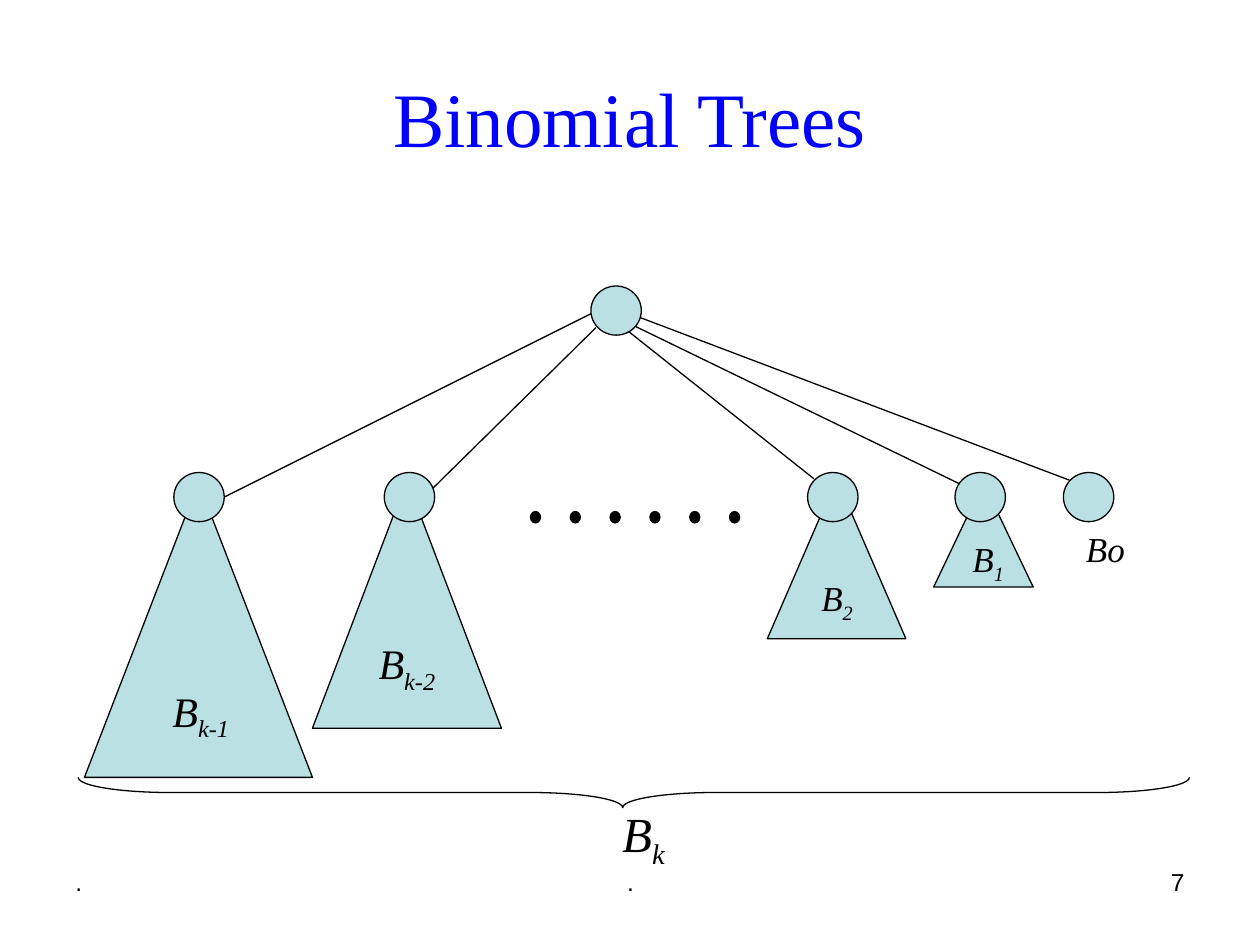
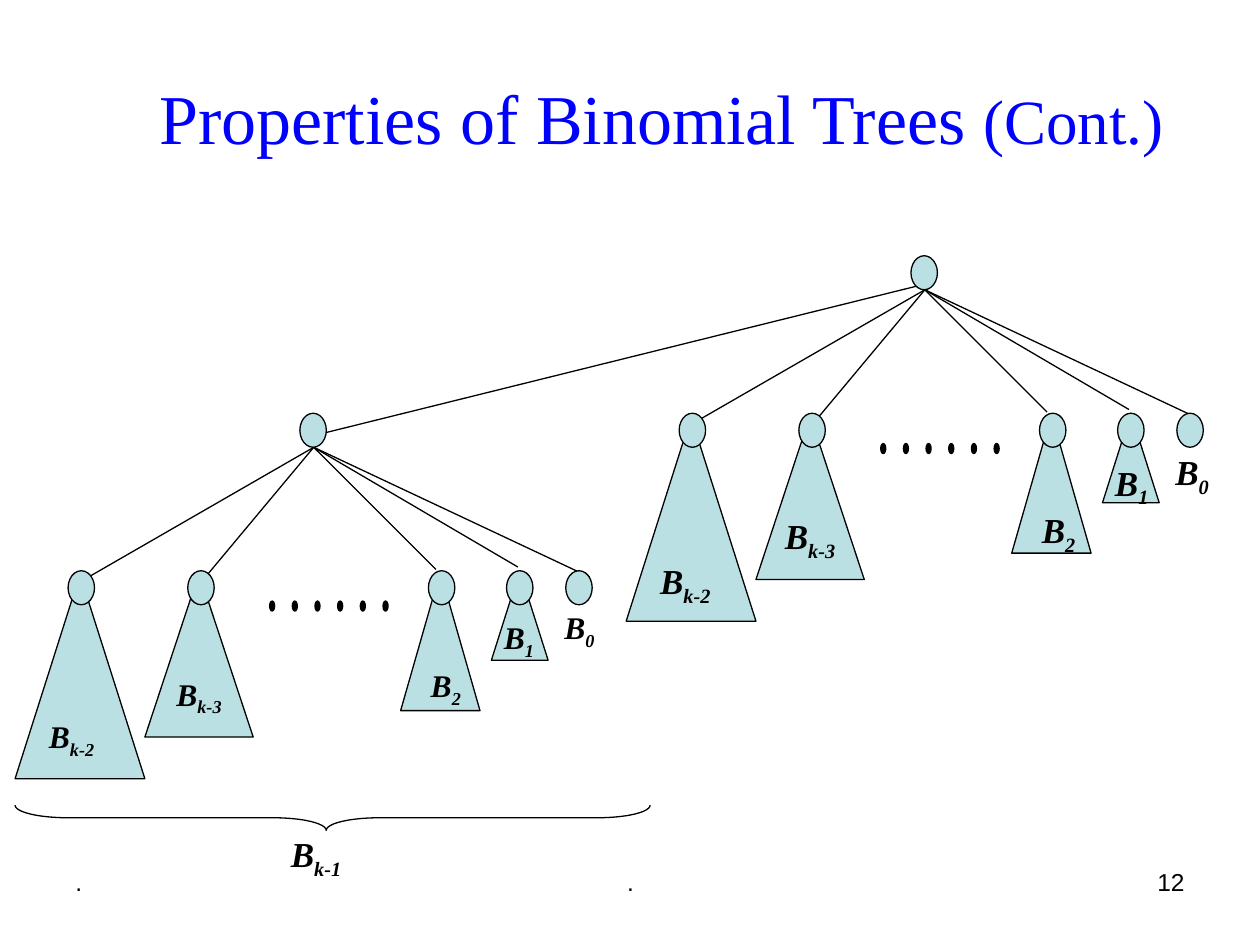
from dataclasses import dataclass

from lxml.etree import SubElement
from pptx import Presentation
from pptx.dml.color import RGBColor
from pptx.enum.shapes import MSO_CONNECTOR, MSO_SHAPE
from pptx.enum.text import MSO_ANCHOR, PP_ALIGN
from pptx.oxml.ns import qn
from pptx.util import Inches, Pt


@dataclass(frozen=True)
class Theme:
    title_color: RGBColor = RGBColor(0x00, 0x00, 0xFF)
    ink: RGBColor = RGBColor(0x00, 0x00, 0x00)
    tree_fill: RGBColor = RGBColor(0xBB, 0xE0, 0xE3)
    serif: str = "Times New Roman"
    sans: str = "Arial"
    footer_size: int = 14
    line_width: float = 0.75


@dataclass(frozen=True)
class Subtree:
    label: tuple         # letter and subscript
    node_left: float
    triangle: tuple      # left, top, width, height; None for a single node
    label_at: tuple      # None puts the label inside the triangle
    edge: tuple          # start at the root, end at the node


@dataclass(frozen=True)
class Tree:
    root: tuple
    node_size: tuple
    node_top: float
    subtrees: list
    dots: tuple          # left of the first, left of the last, top
    dot_size: tuple


THEME = Theme()
DOT_COUNT = 6

# Content: lengths in inches
FULL_TREE = Tree(
    root=(4.69, 2.27), node_size=(0.4, 0.39), node_top=3.75,
    subtrees=[
        Subtree(("B", "k-1"), 1.38, (0.67, 3.83, 1.81, 2.34), (1.27, 5.39),
                ((4.69, 2.49), (1.77, 3.95))),
        Subtree(("B", "k-2"), 3.05, (2.48, 3.81, 1.5, 1.97), None,
                ((4.73, 2.6), (3.4, 3.91))),
        Subtree(("B", "2"), 6.41, (6.09, 3.8, 1.1, 1.27), (6.42, 4.53),
                ((4.95, 2.6), (6.46, 3.8))),
        Subtree(("B", "1"), 7.58, (7.41, 3.83, 0.79, 0.83), (7.62, 4.22),
                ((5, 2.57), (7.76, 3.91))),
        Subtree(("Bo", ""), 8.44, None, (8.52, 4.14),
                ((5, 2.49), (8.67, 3.88))),
    ],
    dots=(4.21, 5.79, 4.06), dot_size=(0.08, 0.09))

ROOT_FOOT = (2.49, 3.55)
HALF_TREE = Tree(
    root=(2.38, 3.28), node_size=(0.21, 0.27), node_top=4.53,
    subtrees=[
        Subtree(("B", "k-2"), 0.54, (0.12, 4.56, 1.03, 1.62), (0.29, 5.64),
                (ROOT_FOOT, (0.72, 4.57))),
        Subtree(("B", "k-3"), 1.49, (1.15, 4.55, 0.86, 1.3), None,
                (ROOT_FOOT, (1.63, 4.58))),
        Subtree(("B", "2"), 3.4, (3.18, 4.54, 0.63, 1.1), (3.32, 5.24),
                (ROOT_FOOT, (3.46, 4.52))),
        Subtree(("B", "1"), 4.02, (3.9, 4.53, 0.45, 0.71), (3.9, 4.86),
                (ROOT_FOOT, (4.11, 4.5))),
        Subtree(("B", "0"), 4.49, None, (4.38, 4.78),
                (ROOT_FOOT, (4.68, 4.58))),
    ],
    dots=(2.14, 3.04, 4.77), dot_size=(0.04, 0.08))

SLIDES = [
    {
        "title": [("Binomial Trees", 44)], "title_width": 9, "number": "7",
        # tree, shift right and down, label sizes, bold
        "trees": [(FULL_TREE, (0, 0), (24, 24, 20, 20, 20), False)],
        "links": [],
        # left, top, width, height, curve reach, point position
        "brace": (0.62, 6.17, 8.82, 0.24, 0.73, 0.49),
        "brace_label": (("B", "k"), (4.84, 6.33), 28, False),
    },
    {
        "title": [("Properties of Binomial Trees ", 40), ("(Cont.)", 36)],
        "title_width": 9.5, "number": "12",
        "trees": [(HALF_TREE, (0, 0), (18,) * 5, True),
                  (HALF_TREE, (4.85, -1.25), (20,) * 5, True)],
        "links": [((2.56, 3.44), (7.36, 2.25))],
        "brace": (0.12, 6.39, 5.04, 0.2, 0.42, 0.49),
        "brace_label": (("B", "k-1"), (2.21, 6.56), 20, True),
    },
]


def inches(*lengths):
    return [Inches(length) for length in lengths]


def moved(point, shift):
    return point[0] + shift[0], point[1] + shift[1]


# Text
def add_text(slide, box, runs, font_name, color, align=PP_ALIGN.LEFT,
             anchor=MSO_ANCHOR.TOP):
    frame = slide.shapes.add_textbox(*inches(*box)).text_frame
    frame.word_wrap = True
    frame.vertical_anchor = anchor
    paragraph = frame.paragraphs[0]
    paragraph.alignment = align
    paragraph.font.name = font_name
    paragraph.font.color.rgb = color
    for text, size in runs:
        run = paragraph.add_run()
        run.text = text
        run.font.size = Pt(size)


def write_label(frame, label, size, bold):
    frame.word_wrap = False
    letter, subscript = label
    paragraph = frame.paragraphs[0]
    paragraph.add_run().text = letter
    if subscript:
        run = paragraph.add_run()
        run.text = subscript
        run._r.get_or_add_rPr().set("baseline", "-25000")
    font = paragraph.font
    font.name, font.size = THEME.serif, Pt(size)
    font.bold, font.italic = bold, True
    font.color.rgb = THEME.ink
    return paragraph


def add_label(slide, label, position, size, bold):
    # The box is a little wider than its text, so the subscript stays in line
    letter, subscript = label
    width = 0.22 + size * 0.01 * (len(letter) + 0.4 * len(subscript))
    height = 0.08 + 0.02 * size
    textbox = slide.shapes.add_textbox(*inches(*position, width, height))
    write_label(textbox.text_frame, label, size, bold)


# Drawing
def add_outlined(slide, kind, box, fill=None):
    shape = slide.shapes.add_shape(kind, *inches(*box))
    shape.shadow.inherit = False
    if fill is None:
        shape.fill.background()
    else:
        shape.fill.solid()
        shape.fill.fore_color.rgb = fill
    shape.line.color.rgb = THEME.ink
    shape.line.width = Pt(THEME.line_width)
    return shape


def add_edge(slide, start, end):
    edge = slide.shapes.add_connector(MSO_CONNECTOR.STRAIGHT,
                                      *inches(*start, *end))
    edge.line.color.rgb = THEME.ink
    edge.line.width = Pt(THEME.line_width)
    SubElement(edge._element.spPr, qn("a:effectLst"))


def add_brace(slide, left, top, width, height, reach, point):
    # A left brace turned a quarter left, so that its point looks down
    middle_x, middle_y = left + width / 2, top + height / 2
    box = (middle_x - height / 2, middle_y - width / 2, height, width)
    brace = add_outlined(slide, MSO_SHAPE.LEFT_BRACE, box)
    brace.rotation = 270
    brace.adjustments[0] = reach / height
    brace.adjustments[1] = point


def add_tree(slide, tree, shift, sizes, bold):
    # Edges and triangles lie behind the nodes
    for subtree in tree.subtrees:
        add_edge(slide, *(moved(end, shift) for end in subtree.edge))
    for subtree, size in zip(tree.subtrees, sizes):
        if subtree.triangle:
            box = (*moved(subtree.triangle[:2], shift), *subtree.triangle[2:])
            triangle = add_outlined(slide, MSO_SHAPE.ISOSCELES_TRIANGLE, box,
                                    THEME.tree_fill)
        if subtree.label_at:
            add_label(slide, subtree.label, moved(subtree.label_at, shift),
                      size, bold)
        else:
            frame = triangle.text_frame
            frame.vertical_anchor = MSO_ANCHOR.MIDDLE
            paragraph = write_label(frame, subtree.label, size, bold)
            paragraph.alignment = PP_ALIGN.CENTER

    # Nodes
    nodes = [(subtree.node_left, tree.node_top) for subtree in tree.subtrees]
    for node in [tree.root, *nodes]:
        add_outlined(slide, MSO_SHAPE.OVAL,
                     (*moved(node, shift), *tree.node_size), THEME.tree_fill)

    # Dots for the subtrees left out
    first, last, top = tree.dots
    pitch = (last - first) / (DOT_COUNT - 1)
    for index in range(DOT_COUNT):
        dot = moved((first + index * pitch, top), shift)
        add_outlined(slide, MSO_SHAPE.OVAL, (*dot, *tree.dot_size), THEME.ink)


def add_frame(slide, title, title_width, number):
    add_text(slide, (0.5, 0.3, title_width, 1.25), title, THEME.serif,
             THEME.title_color, PP_ALIGN.CENTER, MSO_ANCHOR.MIDDLE)
    footers = [(".", 0.5, 2.33, PP_ALIGN.LEFT),
               (".", 3.42, 3.17, PP_ALIGN.CENTER),
               (number, 7.17, 2.33, PP_ALIGN.RIGHT)]
    for text, left, width, align in footers:
        add_text(slide, (left, 6.83, width, 0.52), [(text, THEME.footer_size)],
                 THEME.sans, THEME.ink, align)


def main():
    presentation = Presentation()
    presentation.slide_width, presentation.slide_height = inches(10, 7.5)
    blank = presentation.slide_layouts[6]
    for content in SLIDES:
        slide = presentation.slides.add_slide(blank)
        add_frame(slide, content["title"], content["title_width"],
                  content["number"])
        for link in content["links"]:
            add_edge(slide, *link)
        for tree in content["trees"]:
            add_tree(slide, *tree)
        add_brace(slide, *content["brace"])
        add_label(slide, *content["brace_label"])
    presentation.save("out.pptx")


if __name__ == "__main__":
    main()
